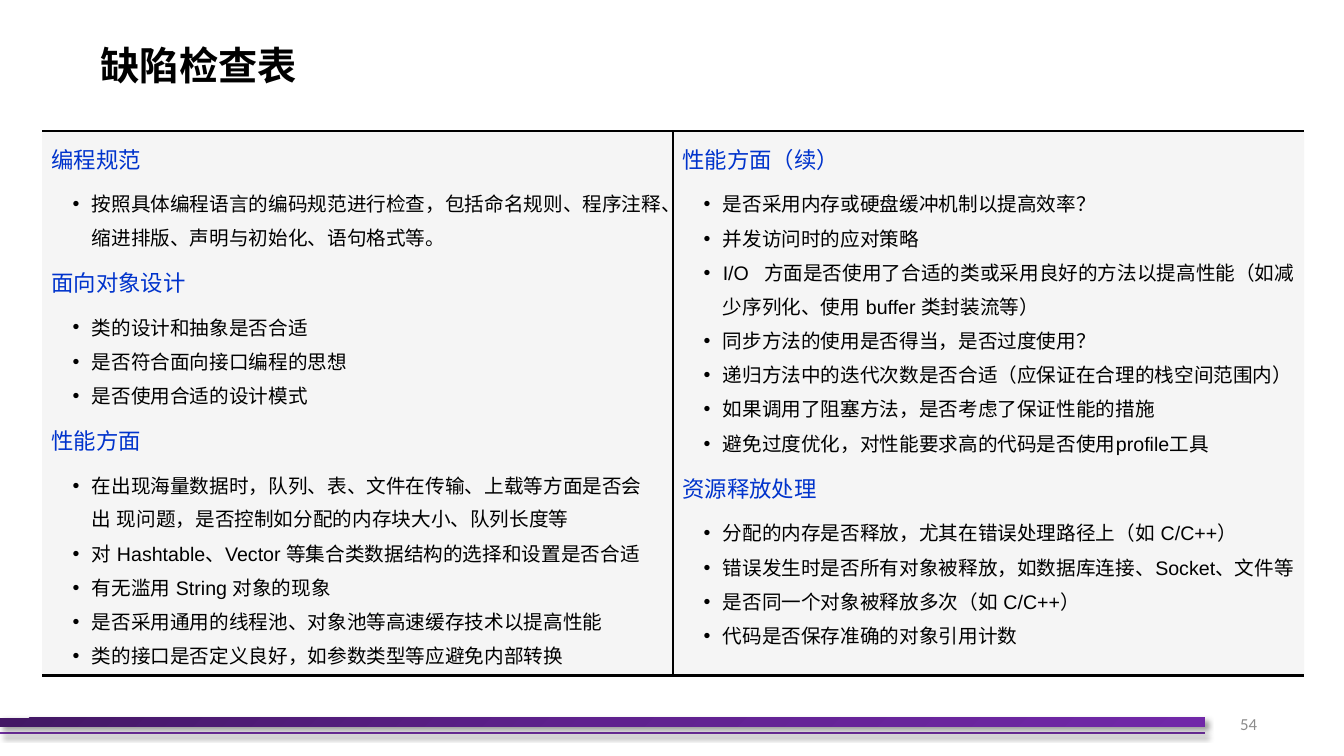
from dataclasses import dataclass
from itertools import groupby

from lxml.etree import SubElement
from pptx import Presentation
from pptx.dml.color import RGBColor as Rgb
from pptx.enum.shapes import MSO_CONNECTOR as Connector, MSO_SHAPE as Shape
from pptx.enum.text import MSO_ANCHOR as Anchor, PP_ALIGN as Align
from pptx.oxml.ns import qn
from pptx.util import Pt


@dataclass(frozen=True)
class Theme:
    ink: str = "000000"
    heading: str = "0033CC"
    panel: str = "F5F5F5"
    accent: str = "7030A0"
    number: str = "8C8C8C"
    band: tuple = ((0, "431764"), (50, "5F218E"), (100, "7128A8"))
    chinese: str = "Noto Sans CJK SC"
    latin: str = "Arial"
    number_font: str = "Calibri"
    title_size: float = 28
    heading_size: float = 16
    item_size: float = 14
    number_size: float = 12


@dataclass(frozen=True)
class Box:
    left: float
    top: float
    width: float
    height: float

    def emu(self):
        return Pt(self.left), Pt(self.top), Pt(self.width), Pt(self.height)


THEME = Theme()
LINE_FACTOR = 1.2
WIDE_LINE = 24
HEADING_GAP = 14
ITEM_GAP = 7.7
ITEM_INDENT = 28.8
BULLET_HANG = 13.7
TAB_STOP = 58.3

LEFT_TOPICS = [
    ("编程规范", ["按照具体编程语言的编码规范进行检查，包括命名规则、程序注释、\v缩进排版、声明与初始化、语句格式等。"]),
    ("面向对象设计", ["类的设计和抽象是否合适", "是否符合面向接口编程的思想", "是否使用合适的设计模式"]),
    ("性能方面", [
        "在出现海量数据时，队列、表、文件在传输、上载等方面是否会\v出 现问题，是否控制如分配的内存块大小、队列长度等",
        "对 Hashtable、Vector 等集合类数据结构的选择和设置是否合适",
        "有无滥用 String 对象的现象",
        "是否采用通用的线程池、对象池等高速缓存技术以提高性能",
        "类的接口是否定义良好，如参数类型等应避免内部转换",
    ]),
]
RIGHT_TOPICS = [
    ("性能方面（续）", [
        "是否采用内存或硬盘缓冲机制以提高效率？",
        "并发访问时的应对策略",
        "I/O\t方面是否使用了合适的类或采用良好的方法以提高性能（如减\v少序列化、使用 buffer 类封装流等）",
        "同步方法的使用是否得当，是否过度使用？",
        "递归方法中的迭代次数是否合适（应保证在合理的栈空间范围内）",
        "如果调用了阻塞方法，是否考虑了保证性能的措施",
        "避免过度优化，对性能要求高的代码是否使用profile工具",
    ]),
    ("资源释放处理", [
        "分配的内存是否释放，尤其在错误处理路径上（如 C/C++）",
        "错误发生时是否所有对象被释放，如数据库连接、Socket、文件等",
        "是否同一个对象被释放多次（如 C/C++）",
        "代码是否保存准确的对象引用计数",
    ]),
]


def style(run, size, color, typeface, bold=False):
    run.font.size = Pt(size)
    run.font.bold = bold
    run.font.color.rgb = Rgb.from_string(color)
    run.font.name = typeface
    SubElement(run.font._element, qn("a:ea"), typeface=typeface)


def add_text(slide, box, wrap=True):
    frame = slide.shapes.add_textbox(*box.emu()).text_frame
    frame.margin_left = frame.margin_right = 0
    frame.margin_top = frame.margin_bottom = 0
    frame.word_wrap = wrap
    return frame


def set_effect(shape, shadow=False):
    effects = SubElement(shape._element.spPr, qn("a:effectLst"))
    if shadow:
        outer = SubElement(effects, qn("a:outerShdw"), blurRad=str(Pt(4)), dist=str(Pt(3)),
                           dir="2700000", algn="tl", rotWithShape="0")
        tint = SubElement(outer, qn("a:srgbClr"), val=THEME.ink)
        SubElement(tint, qn("a:alpha"), val="40000")


def add_rule(slide, start, end, color, weight, shadow=False):
    rule = slide.shapes.add_connector(Connector.STRAIGHT, *map(Pt, start + end))
    rule.line.color.rgb = Rgb.from_string(color)
    rule.line.width = Pt(weight)
    set_effect(rule, shadow)


def add_title(slide, box, title):
    frame = add_text(slide, box, wrap=False)
    frame.vertical_anchor = Anchor.MIDDLE
    frame.text = title
    style(frame.paragraphs[0].runs[0], THEME.title_size, THEME.ink, THEME.chinese, bold=True)


def fill_line(paragraph, words, size, color):
    for position, part in enumerate(words.split("\v")):
        if position:
            paragraph.add_line_break()
        for is_latin, letters in groupby(part, str.isascii):
            run = paragraph.add_run()
            run.text = "".join(letters)
            style(run, size, color, THEME.latin if is_latin else THEME.chinese)


def add_bullet(paragraph):
    props = paragraph._p.get_or_add_pPr()
    props.set("marL", str(Pt(ITEM_INDENT)))
    props.set("indent", str(-Pt(BULLET_HANG)))
    SubElement(props, qn("a:buFont"), typeface=THEME.latin)
    SubElement(props, qn("a:buChar"), char="•")
    tabs = SubElement(props, qn("a:tabLst"))
    for stop in (ITEM_INDENT, TAB_STOP):
        SubElement(tabs, qn("a:tab"), pos=str(Pt(stop)), algn="l")


def add_topics(slide, box, topics):
    frame = add_text(slide, box)
    for topic_index, (heading, items) in enumerate(topics):
        topic = frame.add_paragraph() if topic_index else frame.paragraphs[0]
        topic.line_spacing = Pt(THEME.heading_size * LINE_FACTOR)
        if topic_index:
            topic.space_before = Pt(HEADING_GAP)
        fill_line(topic, heading, THEME.heading_size, THEME.heading)
        for item_index, words in enumerate(items):
            item = frame.add_paragraph()
            add_bullet(item)
            height = THEME.item_size * LINE_FACTOR
            spacing = WIDE_LINE if "\v" in words else height
            gap = ITEM_GAP if item_index else HEADING_GAP
            item.line_spacing = Pt(spacing)
            item.space_before = Pt(gap - spacing + height)
            fill_line(item, words, THEME.item_size, THEME.ink)


def add_checklist(slide, box):
    half = box.width / 2
    middle, right, bottom = box.left + half, box.left + box.width, box.top + box.height
    for left in (box.left, middle):
        panel = slide.shapes.add_shape(Shape.RECTANGLE, *Box(left, box.top, half, box.height).emu())
        panel.shadow.inherit = False
        panel.fill.solid()
        panel.fill.fore_color.rgb = Rgb.from_string(THEME.panel)
        panel.line.fill.background()
    add_rule(slide, (middle, box.top), (middle, bottom), THEME.ink, 1.5)
    add_rule(slide, (box.left, box.top), (right, box.top), THEME.ink, 1.5)
    add_rule(slide, (box.left, bottom), (right, bottom), THEME.ink, 2.25)
    for left, width, topics in ((box.left, half, LEFT_TOPICS), (middle, half - 13, RIGHT_TOPICS)):
        add_topics(slide, Box(left + 6.6, box.top + 10.5, width, box.height - 12), topics)


def add_footer(slide, box, number):
    line_y = box.top + 10.8
    add_rule(slide, (box.left, line_y), (box.left + box.width, line_y), THEME.accent, 1.5, shadow=True)
    band = slide.shapes.add_shape(Shape.RECTANGLE, *box.emu())
    band.line.fill.background()
    props = band._element.spPr
    gradient = SubElement(props, qn("a:gradFill"), rotWithShape="1")
    stops = SubElement(gradient, qn("a:gsLst"))
    for percent, color in THEME.band:
        stop = SubElement(stops, qn("a:gs"), pos=str(percent * 1000))
        SubElement(stop, qn("a:srgbClr"), val=color)
    SubElement(gradient, qn("a:lin"), ang="2700000", scaled="0")
    props.find(qn("a:ln")).addprevious(gradient)
    set_effect(band, shadow=True)
    frame = add_text(slide, Box(box.left + box.width - 41, box.top - 10, 78.5, 28.8))
    frame.vertical_anchor = Anchor.MIDDLE
    frame.text = number
    frame.paragraphs[0].alignment = Align.RIGHT
    style(frame.paragraphs[0].runs[0], THEME.number_size, THEME.number, THEME.number_font)


def main():
    deck = Presentation()
    deck.slide_width, deck.slide_height = Pt(960), Pt(540)
    slide = deck.slides.add_slide(deck.slide_layouts[6])
    add_footer(slide, Box(0, 512.6, 860.4, 6.5), "54")
    add_title(slide, Box(72, 28.8, 141.8, 35.3), "缺陷检查表")
    add_checklist(slide, Box(30.2, 93.6, 901.4, 388.8))
    deck.save("out.pptx")


if __name__ == "__main__":
    main()
